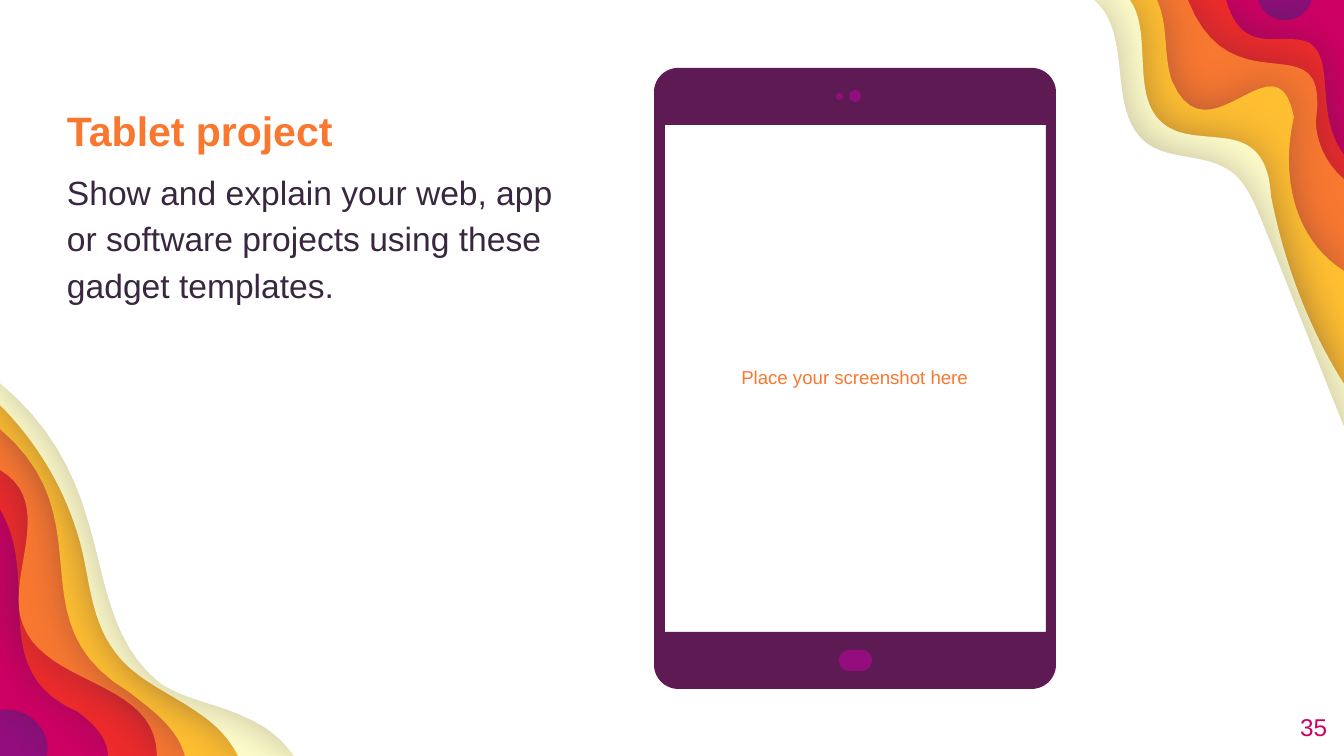
import lxml.etree
import pptx
import pptx.dml.color
import pptx.enum.shapes
import pptx.enum.text
import pptx.oxml
import pptx.oxml.ns
import pptx.util

RGBColor = pptx.dml.color.RGBColor
Anchor = pptx.enum.text.MSO_ANCHOR
Align = pptx.enum.text.PP_ALIGN
Preset = pptx.enum.shapes.MSO_SHAPE

PURPLE = RGBColor(0x94, 0x0D, 0x7F)
MAGENTA = RGBColor(0xCE, 0x00, 0x63)
RED = RGBColor(0xED, 0x2B, 0x2B)
ORANGE = RGBColor(0xF9, 0x78, 0x30)
YELLOW = RGBColor(0xFF, 0xBF, 0x31)
CREAM = RGBColor(0xFE, 0xFD, 0xCA)
WHITE = RGBColor(0xFF, 0xFF, 0xFF)
PLUM = RGBColor(0x5E, 0x1B, 0x53)
INK = RGBColor(0x39, 0x27, 0x3F)

FONT = "Arial"
EMU_PER_PX = 914400 / 134.4
WIDTH, HEIGHT = 1344, 756
CURVE_STEPS = 20

# Each outline is a list of steps: (x, y) is a line, six numbers are a cubic curve.
WAVES = [
    (MAGENTA, [(1344, 0), (1312, 0), (1304, 27, 1266, 27, 1258, 0), (0, 0),
               (0, 710), (27, 706, 52, 728, 47, 756), (1344, 756)]),
    (RED, [(1310, 43), (1281, 30, 1243, 59, 1226, 0), (0, 0), (0, 509),
           (43, 581, -16, 671, 78, 712), (93, 723, 108, 738, 108, 756),
           (1344, 756), (1344, 155), (1314, 114, 1336, 62, 1310, 43)]),
    (ORANGE, [(1344, 179), (1327, 165, 1316, 142, 1316, 121),
              (1331, 16, 1232, 113, 1188, 0), (0, 0), (0, 470),
              (58, 504, 4, 577, 23, 625), (47, 687, 157, 680, 157, 756),
              (1344, 756)]),
    (YELLOW, [(1344, 271), (1292, 238, 1281, 173, 1294, 117),
              (1277, 30, 1208, 165, 1172, 81), (1163, 55, 1169, 26, 1157, 0),
              (0, 0), (0, 429), (108, 521, 12, 622, 129, 692),
              (152, 710, 177, 727, 185, 756), (1344, 756)]),
    (CREAM, [(1255, 151), (1232, 129, 1191, 144, 1165, 125),
             (1129, 99, 1154, 34, 1130, 0), (0, 0), (0, 405),
             (40, 445, 70, 497, 83, 554), (90, 586, 93, 621, 113, 649),
             (133, 679, 169, 692, 200, 714), (215, 724, 230, 739, 238, 756),
             (1344, 756), (1344, 384), (1308, 327, 1284, 262, 1271, 196),
             (1270, 180, 1267, 163, 1255, 151)]),
    (WHITE, [(1344, 427), (1261, 219), (1254, 202, 1245, 181, 1230, 171),
             (1204, 153, 1169, 161, 1145, 142), (1106, 109, 1134, 34, 1094, 0),
             (0, 0), (0, 383), (126, 488, 74, 613, 160, 683),
             (185, 700, 219, 704, 247, 718), (266, 726, 282, 739, 294, 756),
             (1344, 756)]),
]


def emu(px):
    return round(px * EMU_PER_PX)


def flatten(steps):
    """Turn an outline of lines and cubic curves into points in EMU."""
    points = []
    for step in steps:
        if len(step) == 2:
            points.append(step)
            continue
        start_x, start_y = points[-1]
        xs, ys = (start_x, *step[0::2]), (start_y, *step[1::2])
        for index in range(1, CURVE_STEPS + 1):
            t = index / CURVE_STEPS
            weights = ((1 - t) ** 3, 3 * t * (1 - t) ** 2, 3 * t * t * (1 - t), t ** 3)
            points.append((sum(w * x for w, x in zip(weights, xs)),
                           sum(w * y for w, y in zip(weights, ys))))
    return [(emu(x), emu(y)) for x, y in points]


def rounded_outline(left, top, right, bottom, radius):
    near = round(radius * 0.45)
    return [
        (left + radius, top), (right - radius, top),
        (right - near, top, right, top + near, right, top + radius),
        (right, bottom - radius),
        (right, bottom - near, right - near, bottom, right - radius, bottom),
        (left + radius, bottom),
        (left + near, bottom, left, bottom - near, left, bottom - radius),
        (left, top + radius),
        (left, top + near, left + near, top, left + radius, top),
    ]


def write(paragraph, text, *, size, color, bold=False, align=Align.LEFT):
    paragraph.alignment = align
    run = paragraph.add_run()
    run.text = text
    run.font.name = FONT
    run.font.size = pptx.util.Pt(size)
    run.font.bold = bold
    run.font.color.rgb = color


def add_soft_shadow(shape):
    effects = shape._element.spPr.find(pptx.oxml.ns.qn("a:effectLst"))
    effects.append(pptx.oxml.parse_xml(
        f'<a:outerShdw {pptx.oxml.ns.nsdecls("a")} blurRad="285750" dist="9525" '
        f'algn="bl" rotWithShape="0"><a:srgbClr val="{INK}">'
        '<a:alpha val="30000"/></a:srgbClr></a:outerShdw>'))


class SlideBuilder:
    def __init__(self, slide):
        self.slide = slide
        self.shapes = slide.shapes

    def paint(self, shape, color):
        shape.fill.solid()
        shape.fill.fore_color.rgb = color
        shape.line.fill.background()
        shape.shadow.inherit = False
        return shape

    def outline(self, color, *contours):
        """Draw one filled shape; a contour inside another is a hole."""
        first, *holes = [flatten(contour) for contour in contours]
        builder = self.shapes.build_freeform(*first[0], scale=1.0)
        builder.add_line_segments(first[1:], close=True)
        for hole in holes:
            builder.move_to(*hole[0])
            builder.add_line_segments(hole[1:], close=True)
        return self.paint(builder.convert_to_shape(), color)

    def preset(self, kind, box, color):
        return self.paint(self.shapes.add_shape(kind, *map(emu, box)), color)

    def frame(self, shape, inset, anchor):
        frame = shape.text_frame
        frame.word_wrap = True
        frame.auto_size = pptx.enum.text.MSO_AUTO_SIZE.NONE
        frame.vertical_anchor = anchor
        frame.margin_left = frame.margin_right = emu(inset)
        frame.margin_top = frame.margin_bottom = emu(inset)
        return frame

    def label(self, text, box, inset=0, **text_format):
        shape = self.shapes.add_textbox(*map(emu, box))
        frame = self.frame(shape, inset, Anchor.MIDDLE)
        write(frame.paragraphs[0], text, **text_format)

    def body(self, box, entries):
        """Fill the body placeholder, without bullets, in front of all shapes."""
        shape = self.slide.placeholders[1]
        shape.left, shape.top, shape.width, shape.height = map(emu, box)
        self.shapes.element.append(shape.element)
        frame = self.frame(shape, 0, Anchor.TOP)
        for index, (text, text_format) in enumerate(entries):
            paragraph = frame.add_paragraph() if index else frame.paragraphs[0]
            write(paragraph, text, **text_format)
            paragraph.line_spacing = 1.15
            paragraph.space_before = pptx.util.Pt(6)
            properties = paragraph._p.get_or_add_pPr()
            properties.set("marL", "0")
            properties.set("indent", "0")
            lxml.etree.SubElement(properties, pptx.oxml.ns.qn("a:buNone"))


def main():
    presentation = pptx.Presentation()
    presentation.slide_width, presentation.slide_height = emu(WIDTH), emu(HEIGHT)
    slide = presentation.slides.add_slide(presentation.slide_layouts[1])
    title = slide.shapes.title.element
    title.getparent().remove(title)
    slide.background.fill.solid()
    slide.background.fill.fore_color.rgb = PURPLE
    builder = SlideBuilder(slide)

    for color, wave in WAVES:
        add_soft_shadow(builder.outline(color, wave))

    builder.label("Place your screenshot here", (664, 125, 381, 505), inset=13,
                  size=10, color=ORANGE, align=Align.CENTER)
    builder.label("35", (1246, 698, 81, 58), size=13, color=MAGENTA, align=Align.RIGHT)

    screen = [(1046, 125), (1046, 632), (665, 632), (665, 125)]
    builder.outline(PLUM, rounded_outline(654, 68, 1056, 689, 24), screen)
    home_button = builder.preset(Preset.ROUNDED_RECTANGLE, (839, 650, 33, 21), PURPLE)
    home_button.adjustments[0] = 0.5
    for camera in ((836, 93, 7, 7), (849, 90, 12, 12)):
        builder.preset(Preset.OVAL, camera, PURPLE)

    builder.body((67, 98, 507, 239), [
        ("Tablet project", dict(size=22, color=ORANGE, bold=True)),
        ("Show and explain your web, app or software projects using these "
         "gadget templates.", dict(size=18, color=INK)),
    ])
    presentation.save("out.pptx")


if __name__ == "__main__":
    main()
